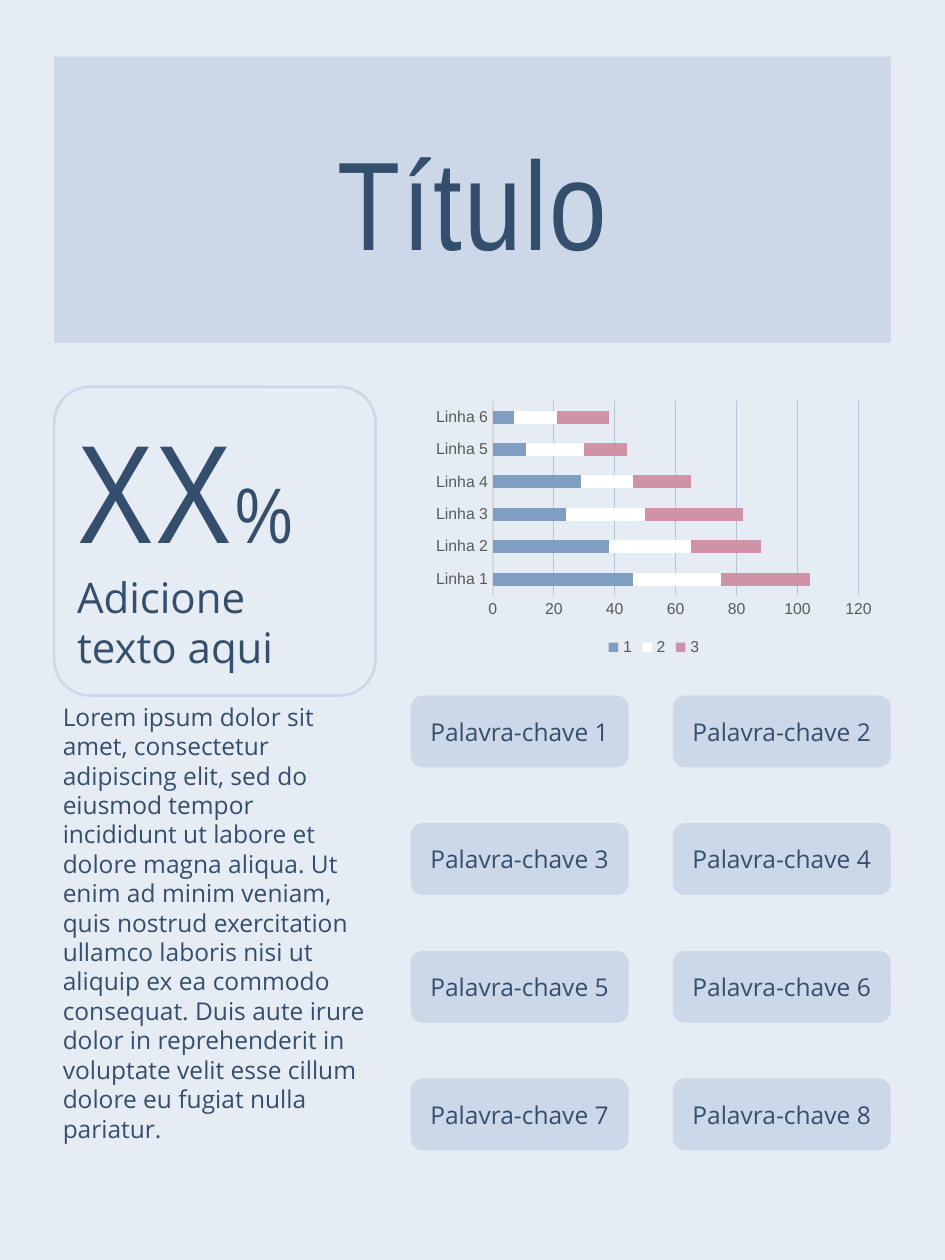
"""Build a one-page portrait infographic with a title, a figure, a chart and keywords."""
from lxml import etree
from pptx import Presentation
from pptx.chart.data import CategoryChartData
from pptx.dml.color import RGBColor
from pptx.enum.chart import XL_CHART_TYPE, XL_LEGEND_POSITION, XL_TICK_MARK
from pptx.enum.shapes import MSO_SHAPE
from pptx.enum.text import MSO_ANCHOR, PP_ALIGN
from pptx.oxml.ns import qn
from pptx.util import Inches, Pt

ROUNDED = MSO_SHAPE.ROUNDED_RECTANGLE
TOP, MIDDLE = MSO_ANCHOR.TOP, MSO_ANCHOR.MIDDLE
LEFT, CENTER = PP_ALIGN.LEFT, PP_ALIGN.CENTER
STACKED_BAR = XL_CHART_TYPE.BAR_STACKED
LEGEND_BOTTOM = XL_LEGEND_POSITION.BOTTOM
NO_TICK = XL_TICK_MARK.NONE

PALE = RGBColor(0xE6, 0xEC, 0xF3)
PANEL = RGBColor(0xCC, 0xD8, 0xE7)
NAVY = RGBColor(0x34, 0x4E, 0x6D)
GRAY = RGBColor(0x59, 0x59, 0x59)
AXIS = RGBColor(0xD9, 0xD9, 0xD9)
GRID = RGBColor(0xB3, 0xC5, 0xDA)
BLUE = RGBColor(0x80, 0x9E, 0xC2)
WHITE = RGBColor(0xFF, 0xFF, 0xFF)
PINK = RGBColor(0xD0, 0x92, 0xA7)

DISPLAY = {"name": "Arial Narrow", "color": NAVY, "spacing": 140}
BODY = {"name": "Open Sans", "color": NAVY, "size": Pt(14)}
CHART = {"name": "Arial", "color": GRAY, "size": Pt(9)}
LOREM = (
    "Lorem ipsum dolor sit amet, consectetur adipiscing elit, sed do eiusmod tempor "
    "incididunt ut labore et dolore magna aliqua. Ut enim ad minim veniam, quis nostrud "
    "exercitation ullamco laboris nisi ut aliquip ex ea commodo consequat. Duis aute irure "
    "dolor in reprehenderit in voluptate velit esse cillum dolore eu fugiat nulla pariatur."
)


def format_font(font, values):
    for name, value in values.items():
        if name == "color":
            font.color.rgb = value
        elif name == "spacing":
            font._element.set("spc", str(value))
        else:
            setattr(font, name, value)


def write(box, lines, anchor, align):
    frame = box.text_frame
    frame.word_wrap = True
    frame.vertical_anchor = anchor
    for index, spans in enumerate(lines):
        para = frame.add_paragraph() if index else frame.paragraphs[0]
        para.alignment = align
        for text, values in spans:
            span = para.add_run()
            span.text = text
            format_font(span.font, values)


deck = Presentation()
deck.slide_width = Inches(7.5)
deck.slide_height = Inches(10)
page = deck.slides.add_slide(deck.slide_layouts[5])
page.background.fill.solid()
page.background.fill.fore_color.rgb = PALE

title = page.shapes.title
title.left, title.top = Inches(0.43), Inches(0.45)
title.width, title.height = Inches(6.64), Inches(2.27)
geometry = etree.SubElement(title._element.spPr, qn("a:prstGeom"), prst="roundRect")
guides = etree.SubElement(geometry, qn("a:avLst"))
etree.SubElement(guides, qn("a:gd"), name="adj", fmla="val 12600")
title.fill.solid()
title.fill.fore_color.rgb = PANEL
write(title, [[("Título", {**DISPLAY, "size": Pt(72)})]], MIDDLE, CENTER)

figure = page.shapes.add_shape(ROUNDED, Inches(0.43), Inches(3.07), Inches(2.55), Inches(2.45))
figure.adjustments[0] = 0.116
figure.shadow.inherit = False
figure.fill.background()
figure.line.color.rgb = PANEL
figure.line.width = Pt(1.5)
figure_lines = [
    [("XX", {**DISPLAY, "size": Pt(80)}), ("%", {**DISPLAY, "size": Pt(45)})],
    [("Adicione texto aqui", {**BODY, "size": Pt(24)})],
]
write(figure, figure_lines, TOP, LEFT)

data = CategoryChartData()
data.categories = [f"Linha {number}" for number in range(1, 7)]
data.add_series("1", (46, 38, 24, 29, 11, 7))
data.add_series("2", (29, 27, 26, 17, 19, 14))
data.add_series("3", (29, 23, 32, 19, 14, 17))
chart = page.shapes.add_chart(
    STACKED_BAR, Inches(3.39), Inches(3.14), Inches(3.6), Inches(2.11), data
).chart
chart.has_title = False
chart.has_legend = True
chart.legend.position = LEGEND_BOTTOM
chart.legend.include_in_layout = False
plot = chart.plots[0]
plot.gap_width = 150
plot.overlap = 100
plot.vary_by_categories = False
for series, color in zip(plot.series, (BLUE, WHITE, PINK)):
    series.format.fill.solid()
    series.format.fill.fore_color.rgb = color

categories, values = chart.category_axis, chart.value_axis
for axis in (categories, values):
    axis.major_tick_mark = NO_TICK
    axis.minor_tick_mark = NO_TICK
for font in (chart.font, categories.tick_labels.font, values.tick_labels.font, chart.legend.font):
    format_font(font, CHART)
categories.format.line.color.rgb = AXIS
categories.format.line.width = Pt(0.75)
values.format.line.fill.background()
values.minimum_scale, values.maximum_scale, values.major_unit = 0, 120, 20
values.has_major_gridlines = True
values.major_gridlines.format.line.color.rgb = GRID
values.major_gridlines.format.line.width = Pt(0.75)

passage = page.shapes.add_textbox(Inches(0.4), Inches(5.52), Inches(2.6), Inches(3.6))
write(passage, [[(LOREM, BODY)]], TOP, LEFT)

for index in range(8):
    row, column = divmod(index, 2)
    keyword = page.shapes.add_shape(
        ROUNDED, Inches(3.26 + 2.08 * column), Inches(5.52 + 3.04 / 3 * row),
        Inches(1.73), Inches(0.57),
    )
    keyword.shadow.inherit = False
    keyword.fill.solid()
    keyword.fill.fore_color.rgb = PANEL
    keyword.line.fill.background()
    write(keyword, [[(f"Palavra-chave {index + 1}", BODY)]], MIDDLE, CENTER)

deck.save("out.pptx")
